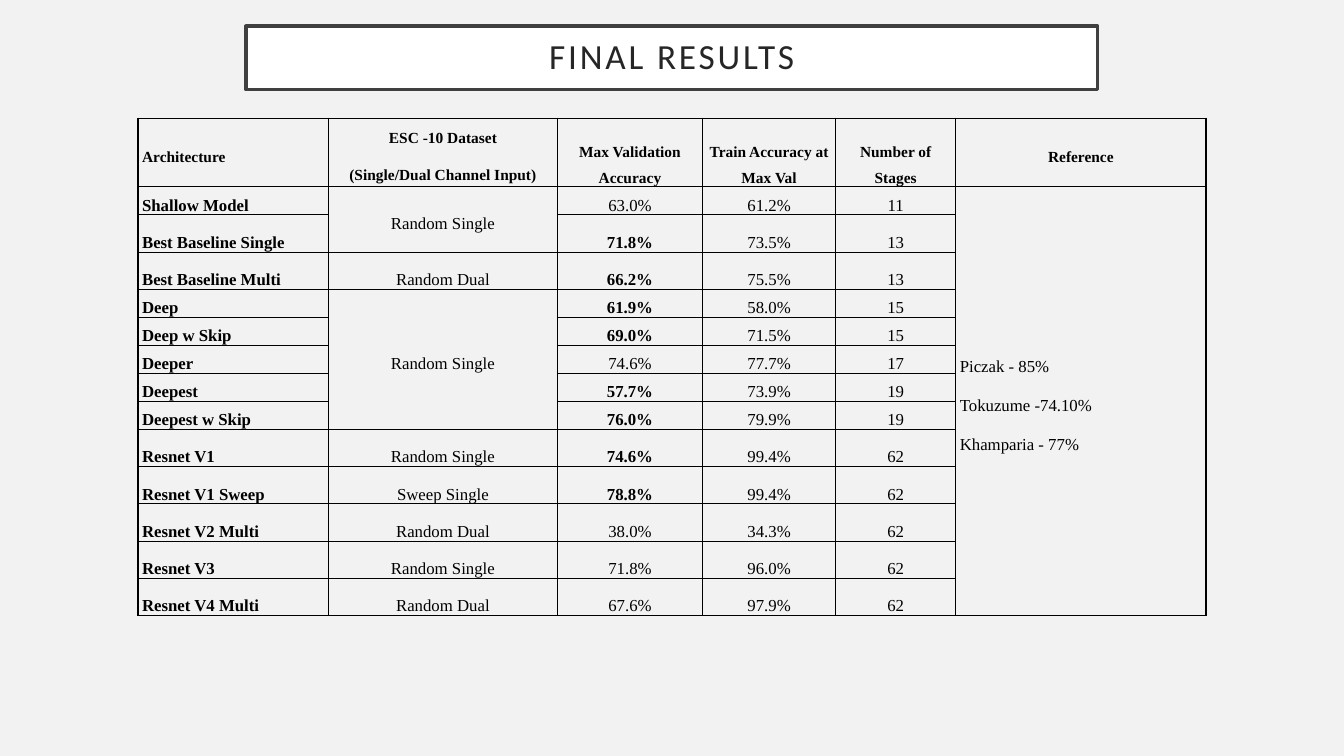
from lxml import etree
from pptx import Presentation
from pptx import util as u
from pptx.dml.color import RGBColor
from pptx.enum import shapes, text
from pptx.oxml.ns import qn

COLORS = {"background": "F2F2F2", "banner": "FFFFFF", "frame": "404040",
          "title": "262626", "ink": "000000"}
LEFT, CENTER = text.PP_ALIGN.LEFT, text.PP_ALIGN.CENTER
MIDDLE, BOTTOM = text.MSO_ANCHOR.MIDDLE, text.MSO_ANCHOR.BOTTOM

COLUMN_WIDTHS = [136.1, 163.5, 103.7, 95.1, 85.8, 178.8]
HEADER_HEIGHT, SHORT_ROW, TALL_ROW = 49, 12.2, 26.6
HEADERS = ["Architecture", "ESC -10 Dataset\n(Single/Dual Channel Input)",
           "Max Validation Accuracy", "Train Accuracy at Max Val",
           "Number of Stages", "Reference"]
REFERENCES = "Piczak - 85%\nTokuzume -74.10%\nKhamparia - 77%"

# architecture, dataset (None continues the one above), validation, train,
# stages, bold validation, row height
RESULTS = [
    ("Shallow Model", "Random Single", "63.0%", "61.2%", 11, False, SHORT_ROW),
    ("Best Baseline Single", None, "71.8%", "73.5%", 13, True, TALL_ROW),
    ("Best Baseline Multi", "Random Dual", "66.2%", "75.5%", 13, True, TALL_ROW),
    ("Deep", "Random Single", "61.9%", "58.0%", 15, True, SHORT_ROW),
    ("Deep w Skip", None, "69.0%", "71.5%", 15, True, SHORT_ROW),
    ("Deeper", None, "74.6%", "77.7%", 17, False, SHORT_ROW),
    ("Deepest", None, "57.7%", "73.9%", 19, True, SHORT_ROW),
    ("Deepest w Skip", None, "76.0%", "79.9%", 19, True, SHORT_ROW),
    ("Resnet V1", "Random Single", "74.6%", "99.4%", 62, True, TALL_ROW),
    ("Resnet V1 Sweep", "Sweep Single", "78.8%", "99.4%", 62, True, TALL_ROW),
    ("Resnet V2 Multi", "Random Dual", "38.0%", "34.3%", 62, False, TALL_ROW),
    ("Resnet V3", "Random Single", "71.8%", "96.0%", 62, False, TALL_ROW),
    ("Resnet V4 Multi", "Random Dual", "67.6%", "97.9%", 62, False, TALL_ROW),
]


def color(name):
    """Return the named colour."""
    return RGBColor.from_string(COLORS[name])


def add_run(paragraph, words, font, size, ink, bold=False):
    """Append one formatted run and return it."""
    run = paragraph.add_run()
    run.text = words
    run.font.name, run.font.size, run.font.bold = font, u.Pt(size), bold
    run.font.color.rgb = color(ink)
    return run


def add_title(slide, words):
    """Draw the framed title banner."""
    banner = slide.shapes.add_shape(shapes.MSO_SHAPE.RECTANGLE, u.Pt(175.7),
                                    u.Pt(18.7), u.Pt(608.4), u.Pt(45.4))
    banner.shadow.inherit = False
    banner.fill.solid()
    banner.fill.fore_color.rgb = color("banner")
    banner.line.color.rgb = color("frame")
    banner.line.width = u.Pt(2.5)
    frame = banner.text_frame
    frame.word_wrap, frame.vertical_anchor = True, MIDDLE
    frame.margin_left = frame.margin_right = u.Pt(14.4)
    frame.margin_top = frame.margin_bottom = u.Pt(14.4)
    heading = frame.paragraphs[0]
    heading.alignment, heading.line_spacing = CENTER, 0.9
    run = add_run(heading, words, "Calibri", 25.2, "title")
    run.font._element.set("spc", "200")


def style_cell(cell):
    """Clear a cell's fill, set its margins and rule all four sides."""
    cell.margin_left = cell.margin_right = u.Pt(2.9)
    cell.margin_top = cell.margin_bottom = 0
    properties = cell._tc.get_or_add_tcPr()
    for side in ("a:lnL", "a:lnR", "a:lnT", "a:lnB"):
        rule = etree.SubElement(properties, qn(side), w=str(u.Pt(1)))
        ink = etree.SubElement(rule, qn("a:solidFill"))
        etree.SubElement(ink, qn("a:srgbClr"), val=COLORS["ink"])
    cell.fill.background()


def write_cell(cell, words, align=CENTER, anchor=BOTTOM, size=12, bold=False):
    """Write one paragraph for each line of words."""
    cell.vertical_anchor = anchor
    frame = cell.text_frame
    for index, line in enumerate(words.split("\n")):
        paragraph = frame.add_paragraph() if index else frame.paragraphs[0]
        paragraph.alignment, paragraph.line_spacing = align, 1.5
        paragraph.space_after = u.Pt(8)
        add_run(paragraph, line, "Times New Roman", size, "ink", bold)


def dataset_span(first):
    """Count the result rows that share the dataset named in row first."""
    last = first + 1
    while last < len(RESULTS) and RESULTS[last][1] is None:
        last += 1
    return last - first


def add_results(slide):
    """Build the results table with its merged dataset and reference cells."""
    heights = [HEADER_HEIGHT] + [result[-1] for result in RESULTS]
    table = slide.shapes.add_table(
        len(heights), len(COLUMN_WIDTHS), u.Pt(98.6), u.Pt(84.5),
        u.Pt(sum(COLUMN_WIDTHS)), u.Pt(sum(heights))).table
    table.first_row = table.horz_banding = False
    for column, width in zip(table.columns, COLUMN_WIDTHS):
        column.width = u.Pt(width)
    for row, height in zip(table.rows, heights):
        row.height = u.Pt(height)
    for cell in table.iter_cells():
        style_cell(cell)

    for index, header in enumerate(HEADERS):
        write_cell(table.cell(0, index), header, CENTER if index else LEFT,
                   BOTTOM if index in (2, 3, 4) else MIDDLE, 11, True)
    for index, result in enumerate(RESULTS):
        architecture, dataset, validation, train, stages, best, _ = result
        row = index + 1
        write_cell(table.cell(row, 0), architecture, LEFT, bold=True)
        write_cell(table.cell(row, 2), validation, bold=best)
        write_cell(table.cell(row, 3), train)
        write_cell(table.cell(row, 4), str(stages))
        if dataset:
            span = dataset_span(index)
            write_cell(table.cell(row, 1), dataset,
                       anchor=MIDDLE if span > 1 else BOTTOM)
            if span > 1:
                table.cell(row, 1).merge(table.cell(row + span - 1, 1))
    write_cell(table.cell(1, 5), REFERENCES, LEFT, MIDDLE)
    table.cell(1, 5).merge(table.cell(len(RESULTS), 5))


def main():
    """Build and save the slide."""
    deck = Presentation()
    deck.slide_width, deck.slide_height = u.Pt(960), u.Pt(540)
    slide = deck.slides.add_slide(deck.slide_layouts[6])
    slide.background.fill.solid()
    slide.background.fill.fore_color.rgb = color("background")
    add_title(slide, "FINAL RESULTS")
    add_results(slide)
    deck.save("out.pptx")


main()
